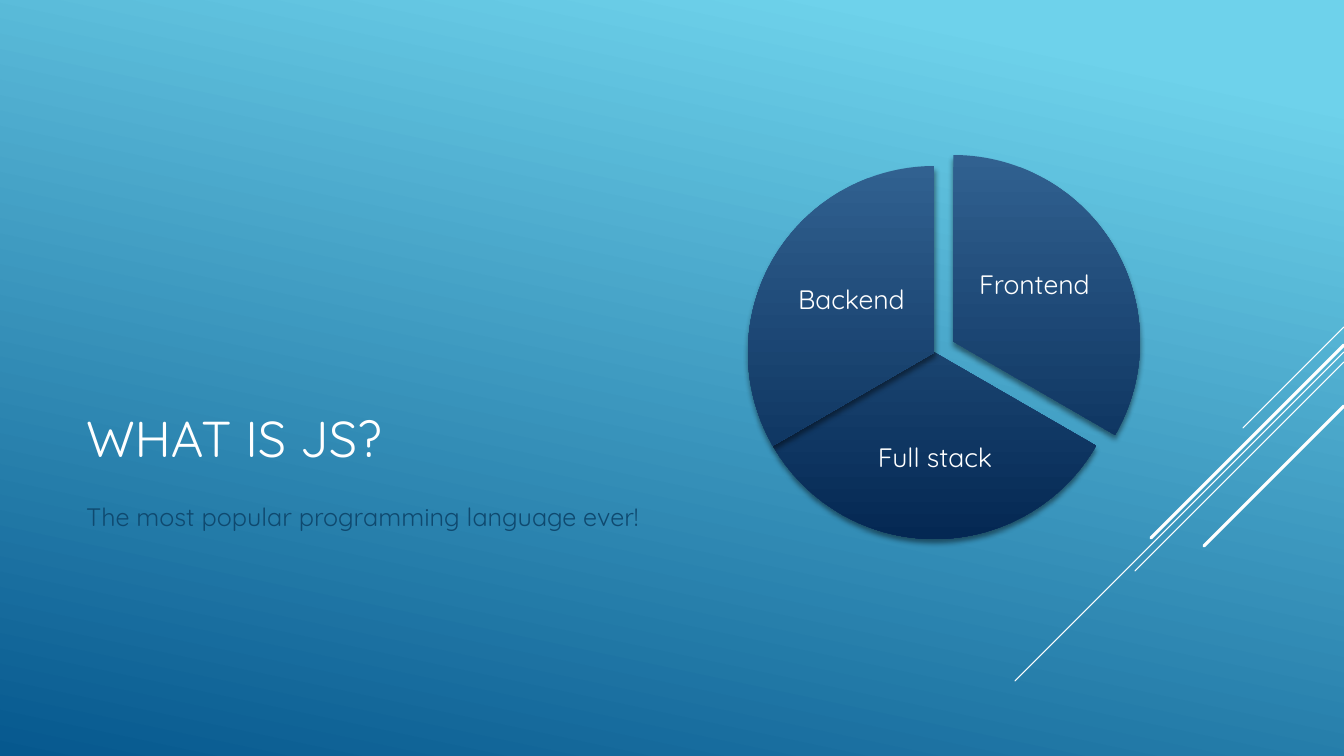
import pptx
import pptx.util
import pptx.dml.color
import pptx.enum.shapes
import pptx.enum.text
import pptx.oxml

Pt = pptx.util.Pt
MID = pptx.enum.text.MSO_ANCHOR.MIDDLE
NS = 'xmlns:a="http://schemas.openxmlformats.org/drawingml/2006/main"'
SHADE = (f'<a:outerShdw {NS} blurRad="50800" dist="38100" dir="5400000" rotWithShape="0">'
         '<a:srgbClr val="000000"><a:alpha val="46000"/></a:srgbClr></a:outerShdw>')


def px(*sizes):
    return [pptx.util.Emu(round(n * 914400 / 100.8)) for n in sizes]


def color(code):
    return pptx.dml.color.RGBColor.from_string(code)


deck = pptx.Presentation()
deck.slide_width, deck.slide_height = px(1344, 756)
slide = deck.slides.add_slide(deck.slide_layouts[2])
shapes = slide.shapes

back = slide.background.fill
back.gradient()
back.gradient_angle = 360 - 102
for stop, place, code in zip(back.gradient_stops, (0.1, 1), ("6ED2EB", "06588E")):
    stop.position = place
    stop.color.rgb = color(code)

for top, run, width in [(327, 101, 0.75), (352, 329, 0.75), (362, 209, 0.75),
                        (345, 193, 2.25), (406, 140, 2.25)]:
    ray = shapes.add_connector(pptx.enum.shapes.MSO_CONNECTOR.STRAIGHT,
                               *px(1344, top, 1344 - run, top + run))
    ray.line.color.rgb = color("FFFFFF")
    ray.line.width = Pt(width)
    ray.line._get_or_add_ln().set("cap", "rnd")
    ray._element.spPr.append(pptx.oxml.parse_xml(f"<a:effectLst {NS}/>"))

title, body = slide.placeholders
for holder, text, box, size, code, anchor in [
    (title, "WHAT IS JS?", (76, 221, 940, 252), 36, "FFFFFF", pptx.enum.text.MSO_ANCHOR.BOTTOM),
    (body, "The most popular programming language ever!", (76, 496, 940, 165), 18, "0F496F",
     pptx.enum.text.MSO_ANCHOR.TOP),
]:
    holder.left, holder.top, holder.width, holder.height = px(*box)
    frame = holder.text_frame
    frame.text = text
    frame.auto_size = pptx.enum.text.MSO_AUTO_SIZE.NONE
    frame.vertical_anchor = anchor
    font = frame.paragraphs[0].font
    font.name, font.size, font.bold = "Quicksand", Pt(size), False
    font.color.rgb = color(code)
body.text_frame.paragraphs[0].space_after = Pt(6)

for text, left, top, start, end, box in [
    ("Frontend", 767, 155, 162, 18, (971, 224, 127, 124)),
    ("Full stack", 748, 166, 18, 90, (851, 401, 168, 116)),
    ("Backend", 748, 166, 90, 162, (788, 239, 127, 124)),
]:
    slice = shapes.add_shape(pptx.enum.shapes.MSO_SHAPE.PIE, *px(left, top, 373, 373))
    slice.adjustments[0], slice.adjustments[1] = start, end
    slice.line.fill.background()
    slice.fill.gradient()
    slice.fill.gradient_angle = 270
    for stop, code in zip(slice.fill.gradient_stops, ("316190", "042853")):
        stop.color.rgb = color(code)
    slice.shadow.inherit = False
    slice._element.spPr[-1].append(pptx.oxml.parse_xml(SHADE))

    frame = shapes.add_textbox(*px(*box)).text_frame
    frame.word_wrap = True
    frame.vertical_anchor = MID
    frame.margin_left, frame.margin_top, frame.margin_right, frame.margin_bottom = px(3, 3, 3, 3)
    frame.text = text
    para = frame.paragraphs[0]
    para.alignment = pptx.enum.text.PP_ALIGN.CENTER
    para.line_spacing = 0.9
    para.font.name, para.font.size = "Quicksand", Pt(19)
    para.font.color.rgb = color("FFFFFF")

deck.save("out.pptx")
